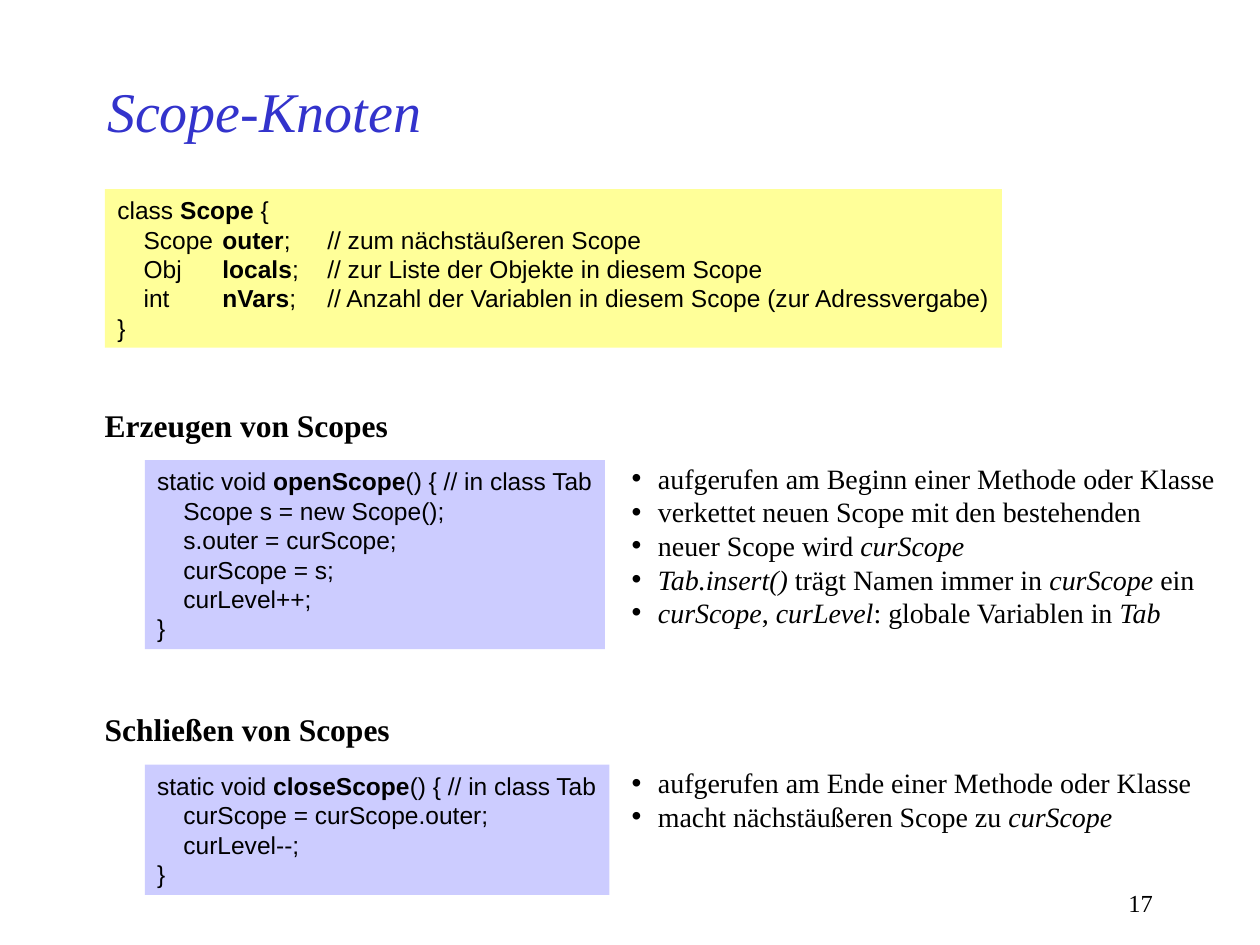
from lxml import etree
from pptx import Presentation
from pptx.dml.color import RGBColor
from pptx.enum import shapes, text
from pptx.oxml import ns
from pptx.util import Pt

COLORS = {"title": "3333CC", "ink": "000000", "class": "FFFF99", "method": "CCCCFF"}
SERIF, SANS = "Times New Roman", "Arial"
TAB_STOPS = (15, 60, 120)
BULLET_INDENT = 15
LINE_FACTOR = 1.2

# Content: each line alternates plain and emphasised runs
TITLE = "Scope-Knoten"
PAGE_NUMBER = "17"
SCOPE_CLASS = [
    ["class ", "Scope", " {"],
    ["\tScope\t", "outer", ";\t// zum nächstäußeren Scope"],
    ["\tObj\t", "locals", ";\t// zur Liste der Objekte in diesem Scope"],
    ["\tint\t", "nVars", ";\t// Anzahl der Variablen in diesem Scope (zur Adressvergabe)"],
    ["}"],
]
SECTIONS = [
    {
        "top": 228.25, "heading": "Erzeugen von Scopes", "code_size": (263, 108),
        "code": [
            ["static void ", "openScope", "() { // in class Tab"],
            ["\tScope s = new Scope();"],
            ["\ts.outer = curScope;"],
            ["\tcurScope = s;"],
            ["\tcurLevel++;"],
            ["}"],
        ],
        "notes": [
            ["aufgerufen am Beginn einer Methode oder Klasse"],
            ["verkettet neuen Scope mit den bestehenden"],
            ["neuer Scope wird ", "curScope"],
            ["", "Tab.insert()", " trägt Namen immer in ", "curScope ", "ein"],
            ["", "curScope", ", ", "curLevel", ": globale Variablen in ", "Tab"],
        ],
    },
    {
        "top": 402.25, "heading": "Schließen von Scopes", "code_size": (265.5, 74.4),
        "code": [
            ["static void ", "closeScope", "() { // in class Tab"],
            ["\tcurScope = curScope.outer;"],
            ["\tcurLevel--;"],
            ["}"],
        ],
        "notes": [
            ["aufgerufen am Ende einer Methode oder Klasse"],
            ["macht nächstäußeren Scope zu ", "curScope"],
        ],
    },
]


def place(shape, left, top, width, height):
    shape.left, shape.top = Pt(left), Pt(top)
    shape.width, shape.height = Pt(width), Pt(height)


def add_tabs(para):
    tabs = etree.SubElement(para._p.get_or_add_pPr(), ns.qn("a:tabLst"))
    for stop in TAB_STOPS:
        etree.SubElement(tabs, ns.qn("a:tab"), pos=str(Pt(stop)), algn="l")


def add_bullet(para):
    props = para._p.get_or_add_pPr()
    props.set("marL", str(Pt(BULLET_INDENT)))
    props.set("indent", str(-Pt(BULLET_INDENT)))
    etree.SubElement(props, ns.qn("a:buChar"), char="•")


def write(box, lines, size, font=SERIF, color="ink", emphasis="bold", bold=False,
          wrap=False, align=text.PP_ALIGN.LEFT, anchor=text.MSO_ANCHOR.TOP, mark=None):
    frame = box.text_frame
    frame.auto_size = text.MSO_AUTO_SIZE.NONE
    frame.word_wrap = wrap
    frame.vertical_anchor = anchor
    for number, line in enumerate(lines):
        para = frame.add_paragraph() if number else frame.paragraphs[0]
        if mark:
            mark(para)
        para.alignment = align
        para.space_before = Pt(0)
        para.line_spacing = Pt(round(size * LINE_FACTOR, 2))
        for position, words in enumerate(line):
            if not words:
                continue
            span = para.add_run()
            span.text = words
            span.font.name, span.font.size = font, Pt(size)
            span.font.color.rgb = RGBColor.from_string(COLORS[color])
            span.font.bold, span.font.italic = bold, False
            if position % 2:
                setattr(span.font, emphasis, True)


def add_text(page, area, lines, size, **style):
    box = page.shapes.add_textbox(0, 0, 0, 0)
    place(box, *area)
    write(box, lines, size, **style)


def add_code(page, area, lines, fill):
    box = page.shapes.add_shape(shapes.MSO_SHAPE.RECTANGLE, 0, 0, 0, 0)
    place(box, *area)
    box.shadow.inherit = False
    box.fill.solid()
    box.fill.fore_color.rgb = RGBColor.from_string(COLORS[fill])
    box.line.fill.background()
    write(box, lines, 14, font=SANS, mark=add_tabs)


def main():
    deck = Presentation()
    deck.slide_width, deck.slide_height = Pt(720), Pt(540)
    page = deck.slides.add_slide(deck.slide_layouts[3])
    title, *bodies = page.placeholders

    # Title and page number
    place(title, 54, 36, 540, 54)
    write(title, [["", TITLE]], 32, color="title", emphasis="italic", wrap=True,
          anchor=text.MSO_ANCHOR.MIDDLE)
    add_text(page, (516, 504, 150, 24), [[PAGE_NUMBER]], 14, wrap=True,
             align=text.PP_ALIGN.RIGHT)

    # Class declaration
    add_code(page, (60, 108, 512.5, 90.75), SCOPE_CLASS, "class")

    # Sections: heading, method, notes
    for section, body in zip(SECTIONS, bodies):
        top = section["top"]
        add_text(page, (52.75, top, 177, 28.8), [[section["heading"]]], 18, bold=True)
        add_code(page, (82.75, top + 34.75, *section["code_size"]), section["code"], "method")
        notes = section["notes"]
        place(body, 353.75, top + 31.75, 356, round(7.2 + len(notes) * 16 * LINE_FACTOR, 2))
        write(body, notes, 16, emphasis="italic", wrap=True, mark=add_bullet)

    deck.save("out.pptx")


if __name__ == "__main__":
    main()
